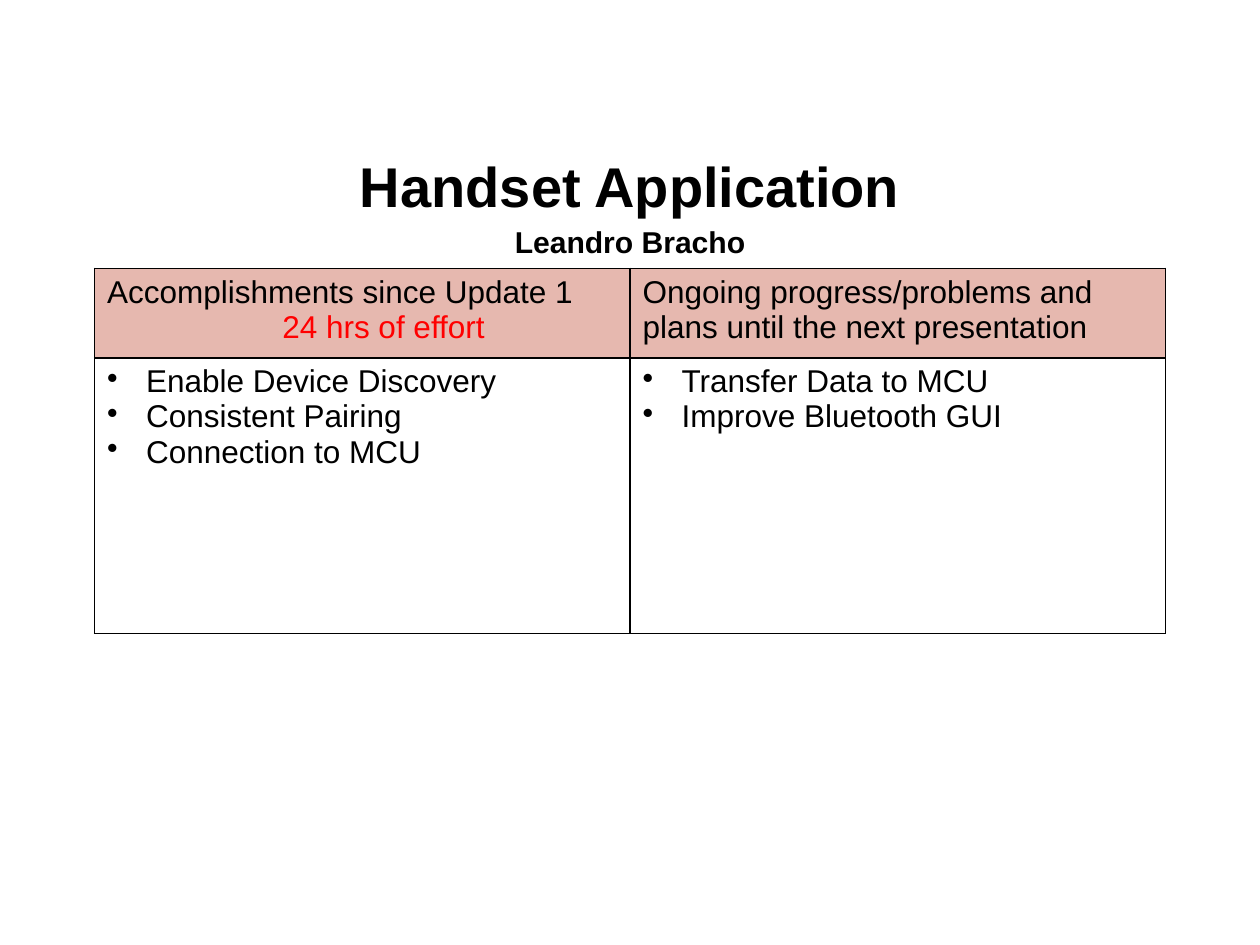
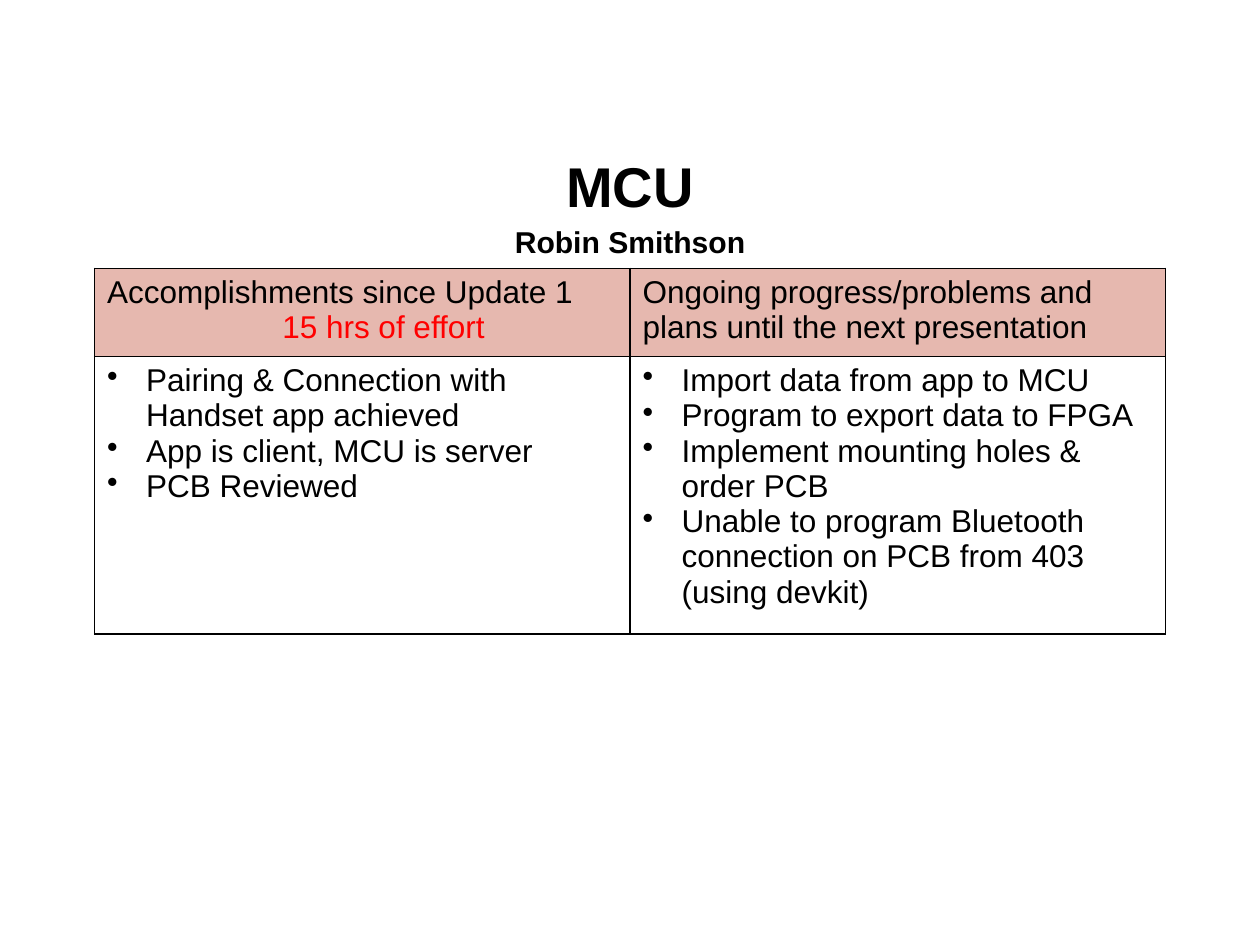
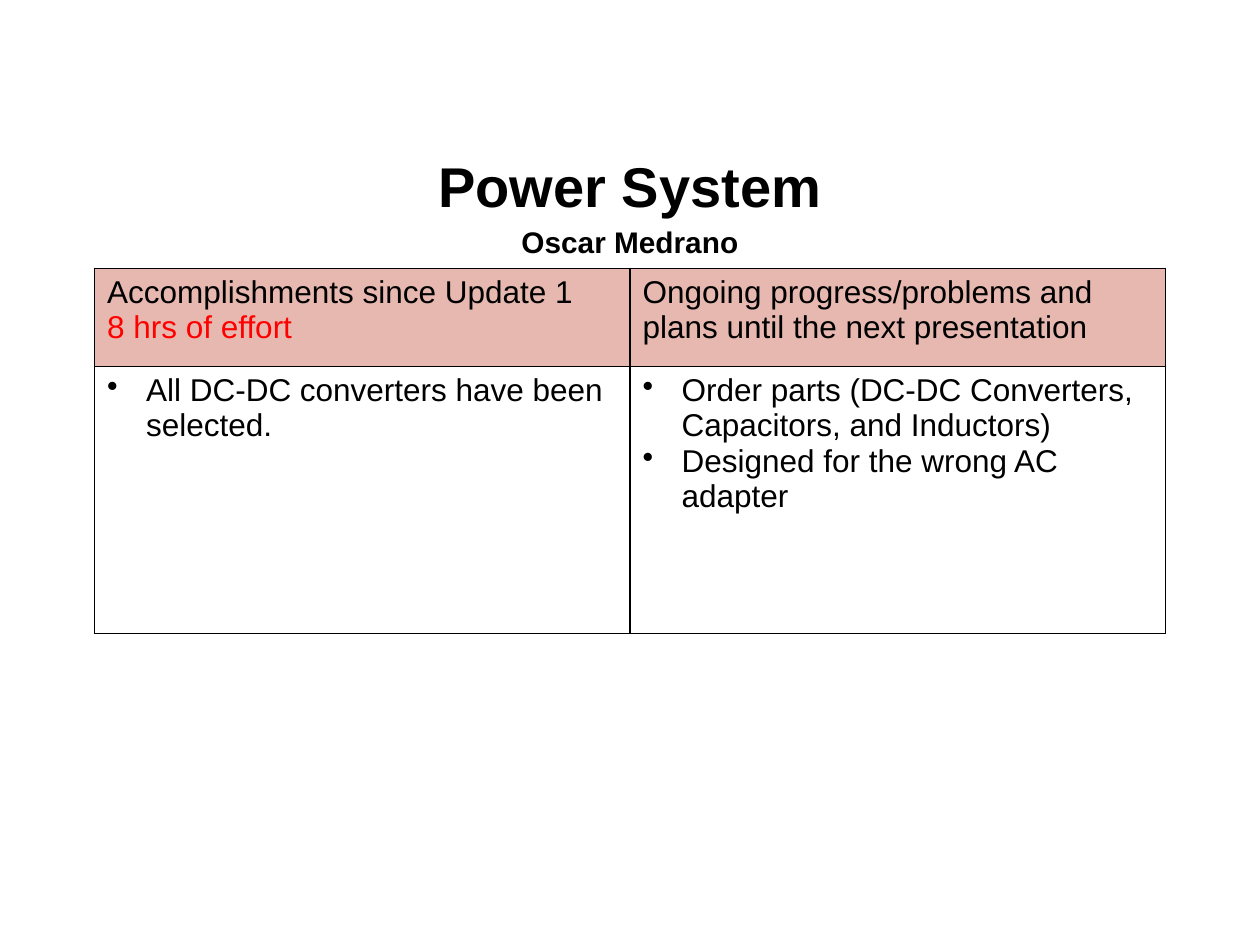
from lxml import etree
from pptx import Presentation
from pptx.dml.color import RGBColor
from pptx.enum.text import MSO_ANCHOR, PP_ALIGN
from pptx.oxml.ns import qn
from pptx.util import Inches, Pt

BLACK = RGBColor(0x00, 0x00, 0x00)
RED = RGBColor(0xFF, 0x00, 0x00)
PINK = RGBColor(0xE6, 0xB8, 0xAF)
FONT = "Arial"
CENTER = PP_ALIGN.CENTER
MIDDLE = MSO_ANCHOR.MIDDLE
HANG = Inches(0.31)
DONE = "Accomplishments since Update 1"
NEXT = "Ongoing progress/problems and plans until the next presentation"

# title, name, name size, effort, effort indent, row heights, done, plans
UPDATES = [
    ("Handset Application", "Leandro Bracho", 17.2,
     "24 hrs of effort", 1.39, (0.71, 2.19),
     ["Enable Device Discovery", "Consistent Pairing", "Connection to MCU"],
     ["Transfer Data to MCU", "Improve Bluetooth GUI"]),
    ("MCU", "Robin Smithson", 17.2,
     "15 hrs of effort", 1.39, (0.7, 2.06),
     ["Pairing & Connection with Handset app achieved",
      "App is client, MCU is server", "PCB Reviewed"],
     ["Import data from app to MCU", "Program to export data to FPGA",
      "Implement mounting holes & order PCB",
      "Unable to program Bluetooth connection on PCB from 403 (using devkit)"]),
    ("Power System", "Oscar Medrano", 17,
     "8 hrs of effort", 0, (0.78, 2.12),
     ["All DC-DC converters have been selected."],
     ["Order parts (DC-DC Converters, Capacitors, and Inductors)",
      "Designed for the wrong AC adapter"]),
]


def write(frame, lines, size, color=BLACK):
    """Put each line in its own paragraph and return the paragraphs."""
    frame.text = "\n".join(lines)
    for para in frame.paragraphs:
        para.font.name = FONT
        para.font.size = Pt(size)
        para.font.color.rgb = color
    return frame.paragraphs


def border(cell):
    props = cell._tc.get_or_add_tcPr()
    for side in ("lnL", "lnR", "lnT", "lnB"):
        line = etree.SubElement(props, qn(f"a:{side}"), w=str(Pt(1)))
        fill = etree.SubElement(line, qn("a:solidFill"))
        etree.SubElement(fill, qn("a:srgbClr"), val=str(BLACK))


prs = Presentation()
prs.slide_width = Inches(10)
prs.slide_height = Inches(7.5)

for title, name, size, effort, indent, heights, done, plans in UPDATES:
    slide = prs.slides.add_slide(prs.slide_layouts[6])

    box = slide.shapes.add_textbox(
        Inches(0.5), Inches(1.15), Inches(9), Inches(0.88))
    frame = box.text_frame
    frame.word_wrap = True
    frame.vertical_anchor = MIDDLE
    heads = write(frame, [title, name], 32)
    heads[1].font.size = Pt(size)
    for para in heads:
        para.font.bold = True
        para.alignment = CENTER
        para.line_spacing = 1.15

    table = slide.shapes.add_table(
        2, 2, Inches(0.75), Inches(2.13), Inches(8.5),
        Inches(sum(heights))).table
    table.first_row = False
    table.horz_banding = False
    for row, height in zip(table.rows, heights):
        row.height = Inches(height)

    for col, lines in enumerate([[DONE, effort], [NEXT]]):
        cell = table.cell(0, col)
        border(cell)
        cell.fill.solid()
        cell.fill.fore_color.rgb = PINK
        write(cell.text_frame, lines, 18)
    last = table.cell(0, 0).text_frame.paragraphs[1]
    last.font.color.rgb = RED
    last._p.get_or_add_pPr().set("marL", str(Inches(indent)))

    for col, lines in enumerate([done, plans]):
        cell = table.cell(1, col)
        border(cell)
        cell.fill.background()
        for para in write(cell.text_frame, lines, 18):
            props = para._p.get_or_add_pPr()
            props.set("marL", str(HANG))
            props.set("indent", str(-HANG))
            bullet = etree.Element(qn("a:buChar"), char="•")
            props.insert(0, bullet)

prs.save("out.pptx")
